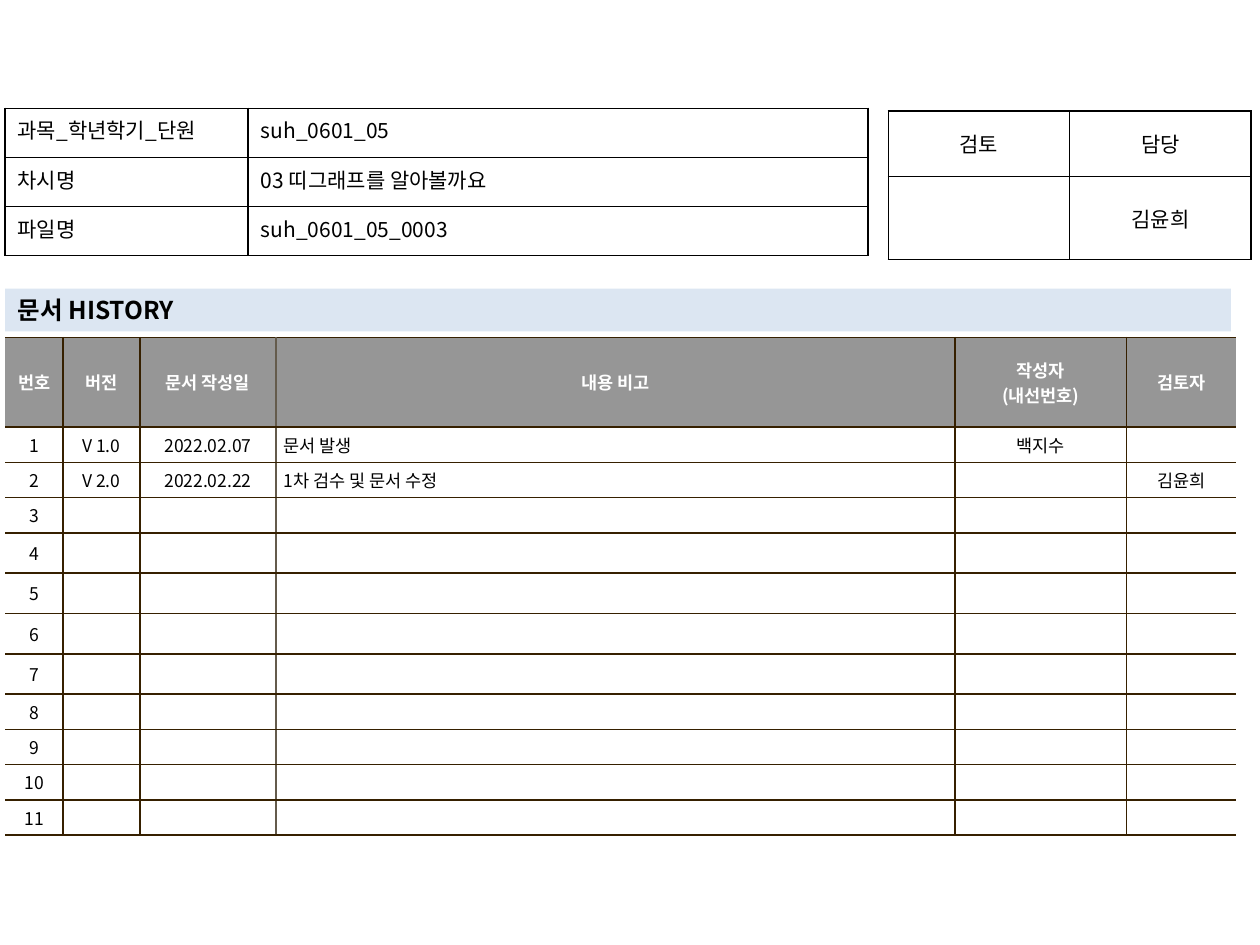
"""Build a document history sheet with info, review and history tables."""
from lxml import etree
from pptx import Presentation
from pptx import util as u
from pptx.dml.color import RGBColor
from pptx.enum import text as t
from pptx.oxml import ns

FONT = "Noto Sans CJK KR"
HUE = {"ink": "000000", "paper": "FFFFFF", "head": "969696",
       "band": "DCE6F2", "rule": "362000", "soft": "645B4C"}
MID, LEFT, FULL = t.PP_ALIGN.CENTER, t.PP_ALIGN.LEFT, t.PP_ALIGN.JUSTIFY
EDGE = 0.04

INFO = [["과목_학년학기_단원", "suh_0601_05"],
        ["차시명", "03 띠그래프를 알아볼까요"],
        ["파일명", "suh_0601_05_0003"]]
REVIEW = [["검토", "담당"], ["", "김윤희"]]
HEADS = ["번호", "버전", "문서 작성일", "내용 비고", "작성자\n(내선번호)", "검토자"]
LOG = [["V 1.0", "2022.02.07", "문서 발생", "백지수", ""],
       ["V 2.0", "2022.02.22", "1차 검수 및 문서 수정", "", "김윤희"]]
BLANK = [[""] * 5] * 9


def rgb(name):
    """Return the named colour."""
    return RGBColor.from_string(HUE[name])


def style(frame, size, hue="ink", bold=False, align=LEFT):
    """Format every paragraph of a text frame, empty ones included."""
    look = {"size": u.Pt(size), "bold": bold, "name": FONT}
    for para in frame.paragraphs:
        para.alignment = align
        for run in para.runs:
            for key, val in look.items():
                setattr(run.font, key, val)
            run.font.color.rgb = rgb(hue)
            props = run.font._element
            etree.SubElement(props, ns.qn("a:ea"), typeface=FONT)
        if not para.runs:
            etree.SubElement(para._p, ns.qn("a:endParaRPr"), sz=str(size * 100))


def border(cell, sides):
    """Draw one-point cell borders from a dict of side to colour name."""
    props = cell._tc.get_or_add_tcPr()
    for side in "LRTB":
        hue = sides.get(side)
        line = etree.SubElement(props, ns.qn(f"a:ln{side}"), w=str(u.Pt(1)))
        kind = "a:solidFill" if hue else "a:noFill"
        fill = etree.SubElement(line, ns.qn(kind))
        if hue:
            etree.SubElement(fill, ns.qn("a:srgbClr"), val=HUE[hue])


def grid(slide, left, top, cols, rows, data, paint):
    """Add a table and format each cell with paint(cell, row, col)."""
    size = [u.Inches(n) for n in (left, top, sum(cols), sum(rows))]
    table = slide.shapes.add_table(len(rows), len(cols), *size).table
    table.first_row = table.horz_banding = False
    for part, sizes, key in ((table.columns, cols, "width"),
                             (table.rows, rows, "height")):
        for item, span in zip(part, sizes):
            setattr(item, key, u.Inches(span))
    for r, line in enumerate(data):
        for c, words in enumerate(line):
            cell = table.cell(r, c)
            cell.text = words
            paint(cell, r, c)


def plain(cell, align):
    """Format a black-ruled cell without fill."""
    border(cell, dict.fromkeys("LRTB", "ink"))
    cell.fill.background()
    style(cell.text_frame, 12, align=align)


def info(cell, row, col):
    """Format a cell of the info table."""
    plain(cell, LEFT if col else FULL)


def review(cell, row, col):
    """Format a cell of the review table."""
    cell.vertical_anchor = t.MSO_ANCHOR.MIDDLE
    plain(cell, MID)


def history(cell, row, col):
    """Format a cell of the history table, open at its outer sides."""
    sides = dict.fromkeys("LRTB", "rule")
    sides.update({0: {"L": None}, 2: {"R": "soft"},
                  3: {"L": "soft"}, 5: {"R": None}}.get(col, {}))
    border(cell, sides)
    pads = {"margin_left": 0.06, "margin_right": 0.06,
            "margin_top": 0.04, "margin_bottom": 0.04}
    for key, val in pads.items():
        setattr(cell, key, u.Inches(val))
    cell.vertical_anchor = t.MSO_ANCHOR.MIDDLE
    cell.fill.solid()
    cell.fill.fore_color.rgb = rgb("paper" if row else "head")
    style(cell.text_frame, 10, "ink" if row else "paper", not row,
          LEFT if row and col == 3 else MID)


def title(slide, words):
    """Turn the title placeholder into the section band."""
    band = slide.shapes.title
    box = {"left": EDGE, "top": 2.29, "width": 9.73, "height": 0.34}
    for key, val in box.items():
        setattr(band, key, u.Inches(val))
    band.fill.solid()
    band.fill.fore_color.rgb = rgb("band")
    frame = band.text_frame
    frame.text = words
    look = {"auto_size": t.MSO_AUTO_SIZE.NONE, "word_wrap": True,
            "vertical_anchor": t.MSO_ANCHOR.MIDDLE}
    for key, val in look.items():
        setattr(frame, key, val)
    style(frame, 14, bold=True)


def main():
    """Build and save the sheet."""
    deck = Presentation()
    deck.slide_width, deck.slide_height = u.Inches(10), u.Inches(7.5)
    slide = deck.slides.add_slide(deck.slide_layouts[5])
    title(slide, "문서 HISTORY")
    lines = [[str(n), *line] for n, line in enumerate(LOG + BLANK, 1)]
    grid(slide, EDGE, 2.68, [0.46, 0.61, 1.08, 5.39, 1.36, 0.87],
         [0.71] + [0.28] * 3 + [0.32] * 4 + [0.28] * 4,
         [HEADS] + lines, history)
    grid(slide, 7.05, 0.88, [1.44] * 2, [0.52, 0.66], REVIEW, review)
    grid(slide, EDGE, 0.86, [1.93, 4.92], [0.39] * 3, INFO, info)
    deck.save("out.pptx")


if __name__ == "__main__":
    main()
